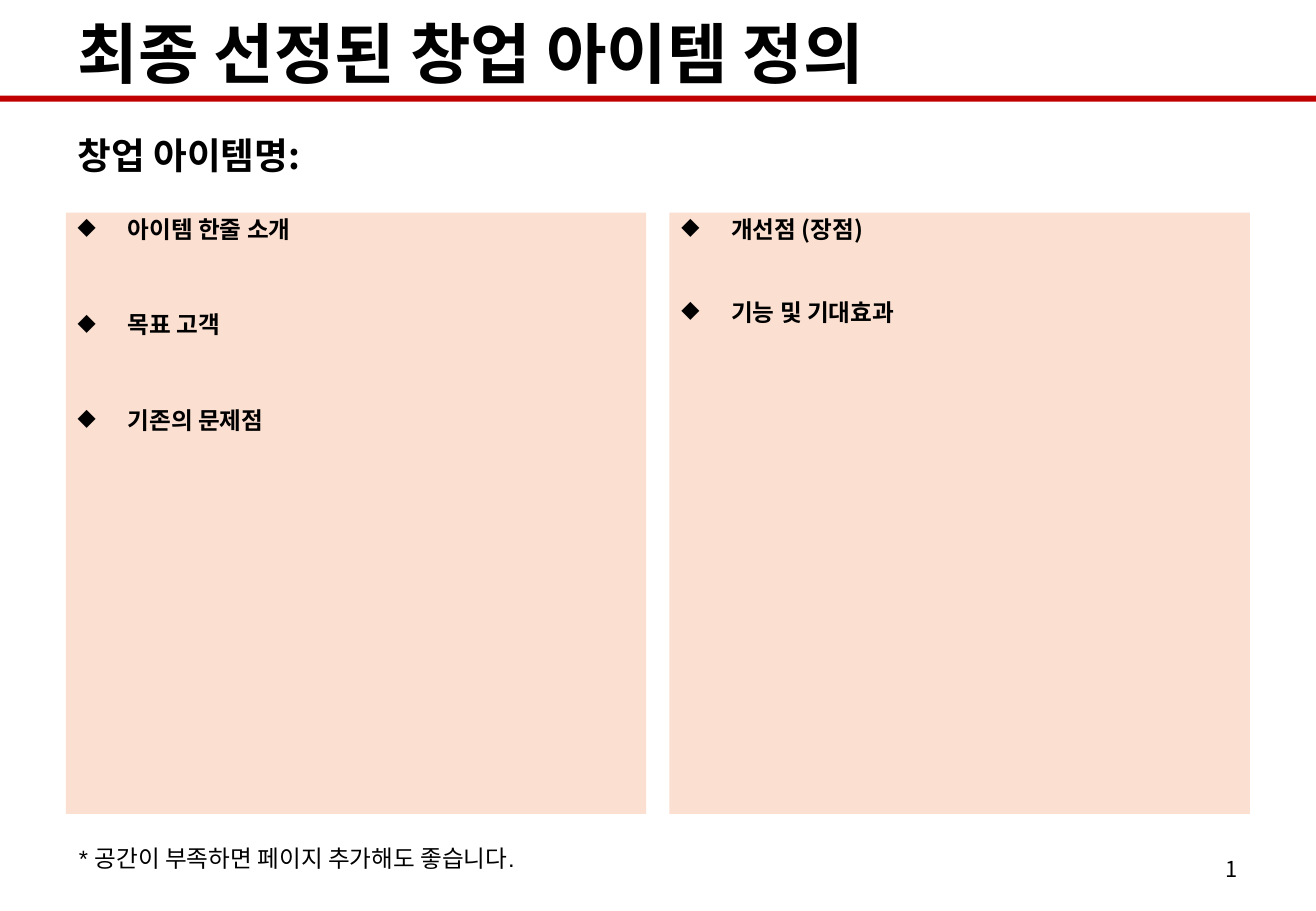
from dataclasses import dataclass

from lxml import etree
from pptx import Presentation
from pptx import util as u
from pptx.dml.color import RGBColor
from pptx.enum import shapes, text
from pptx.oxml.ns import qn
from pptx.shapes.autoshape import Shape
from pptx.slide import Slide
from pptx.text.text import TextFrame, _Paragraph

BLACK = RGBColor(0x00, 0x00, 0x00)
RED = RGBColor(0xC0, 0x00, 0x00)
PEACH = RGBColor(0xFB, 0xE0, 0xD1)
KOREAN_FONT = "Noto Sans CJK KR"

MARGIN = 39
PANEL_TOP, PANEL_WIDTH, PANEL_HEIGHT = 126, 344, 356.4
PANEL_STEP = 357.8
BULLET_INDENT = 29.5


@dataclass(frozen=True)
class Label:
    wording: str
    left: float
    top: float
    width: float
    height: float
    size: float
    bold: bool = False
    font: str = KOREAN_FONT
    align: text.PP_ALIGN = text.PP_ALIGN.LEFT
    anchor: text.MSO_ANCHOR = text.MSO_ANCHOR.MIDDLE
    wrap: bool = True


@dataclass(frozen=True)
class Panel:
    topics: tuple[str, ...]
    topic_gap: float


LABELS = (
    Label("최종 선정된 창업 아이템 정의", MARGIN, 3.6, 702, 54.7, 39, bold=True),
    Label("창업 아이템명:", MARGIN, 60.5, 702, 62.6, 21.7, bold=True),
    Label("1", 558.7, 500.4, 182.2, 28.8, 13, align=text.PP_ALIGN.RIGHT),
    Label("* 공간이 부족하면 페이지 추가해도 좋습니다.", 39.6, 496.8, 303, 24.5, 14,
          font="Arial", anchor=text.MSO_ANCHOR.TOP, wrap=False),
)
PANELS = (
    Panel(("아이템 한줄 소개", "목표 고객", "기존의 문제점"), 39.6),
    Panel(("개선점 (장점)", "기능 및 기대효과"), 32.1),
)


def style_runs(paragraph: _Paragraph, size: float, bold: bool, font: str) -> None:
    for run in paragraph.runs:
        run.font.size = u.Pt(size)
        run.font.bold = bold
        run.font.name = font
        run.font.color.rgb = BLACK
        east_asian = etree.SubElement(run.font._element, qn("a:ea"))
        east_asian.set("typeface", KOREAN_FONT)


def add_diamond_bullet(paragraph: _Paragraph) -> None:
    properties = paragraph._p.get_or_add_pPr()
    properties.set("marL", str(u.Pt(BULLET_INDENT)))
    properties.set("indent", str(-u.Pt(BULLET_INDENT)))
    etree.SubElement(properties, qn("a:buChar")).set("char", "◆")


def add_block(slide: Slide, left: float, top: float, width: float,
              height: float, color: RGBColor) -> Shape:
    """Add a plain filled rectangle without outline or shadow."""
    block = slide.shapes.add_shape(shapes.MSO_SHAPE.RECTANGLE, u.Pt(left),
                                   u.Pt(top), u.Pt(width), u.Pt(height))
    block.fill.solid()
    block.fill.fore_color.rgb = color
    block.line.fill.background()
    block.shadow.inherit = False
    return block


def add_label(slide: Slide, label: Label) -> None:
    box = slide.shapes.add_textbox(u.Pt(label.left), u.Pt(label.top),
                                   u.Pt(label.width), u.Pt(label.height))
    frame: TextFrame = box.text_frame
    frame.word_wrap = label.wrap
    frame.vertical_anchor = label.anchor
    frame.text = label.wording
    frame.paragraphs[0].alignment = label.align
    style_runs(frame.paragraphs[0], label.size, label.bold, label.font)


def add_panel(slide: Slide, panel: Panel, left: float) -> None:
    block = add_block(slide, left, PANEL_TOP, PANEL_WIDTH, PANEL_HEIGHT, PEACH)
    frame: TextFrame = block.text_frame
    frame.word_wrap = True
    frame.vertical_anchor = text.MSO_ANCHOR.TOP
    frame.margin_top = u.Pt(1.5)
    frame.text = "\n".join(panel.topics)
    for topic in frame.paragraphs:
        topic.alignment = text.PP_ALIGN.LEFT
        topic.space_after = u.Pt(panel.topic_gap)
        add_diamond_bullet(topic)
        style_runs(topic, 14, True, KOREAN_FONT)


def main() -> None:
    deck = Presentation()
    deck.slide_width, deck.slide_height = u.Pt(780), u.Pt(540)
    slide = deck.slides.add_slide(deck.slide_layouts[6])
    add_block(slide, 0, 56.7, 780, 3.6, RED)
    for column, panel in enumerate(PANELS):
        add_panel(slide, panel, MARGIN + column * PANEL_STEP)
    for label in LABELS:
        add_label(slide, label)
    deck.save("out.pptx")


if __name__ == "__main__":
    main()
